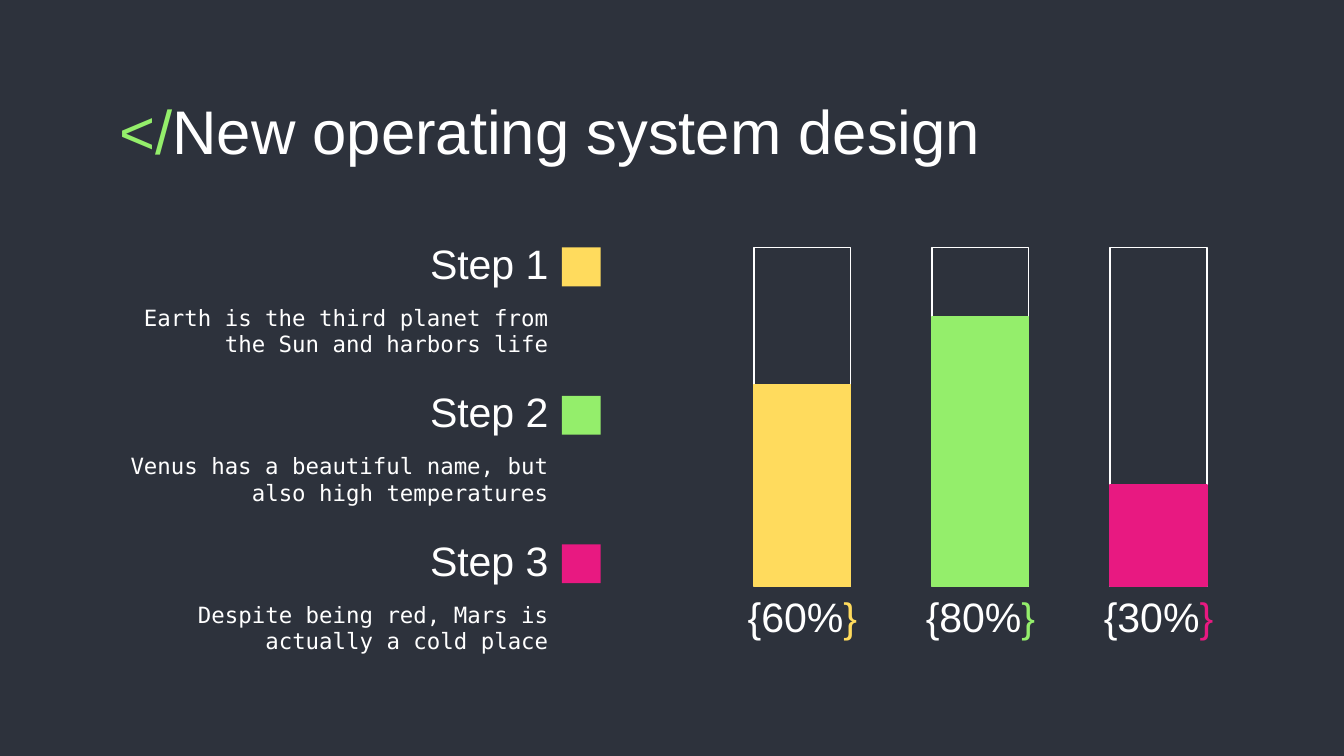
from pptx import Presentation
from pptx import util as u
from pptx.dml.color import RGBColor
from pptx.enum import shapes, text

BACKGROUND = RGBColor(0x2D, 0x32, 0x3C)
WHITE = RGBColor(0xFF, 0xFF, 0xFF)
YELLOW = RGBColor(0xFF, 0xDB, 0x5D)
GREEN = RGBColor(0x94, 0xEE, 0x6B)
PINK = RGBColor(0xE8, 0x19, 0x81)

STEPS = [
    ("Step 1", "Earth is the third planet from the Sun and harbors life", YELLOW, 60),
    ("Step 2", "Venus has a beautiful name, but also high temperatures", GREEN, 80),
    ("Step 3", "Despite being red, Mars is actually a cold place", PINK, 30),
]
STEP_PITCH = 2.21 / 2
BAR_PITCH = 2.65 / 2
FULL_BAR = 2.5


def add_text(page, box, *spans, size=22, font="Arial", align=text.PP_ALIGN.LEFT,
             anchor=text.MSO_ANCHOR.TOP):
    frame = page.shapes.add_textbox(*map(u.Inches, box)).text_frame
    frame.word_wrap = True
    frame.vertical_anchor = anchor
    frame.margin_left = frame.margin_right = u.Inches(0.1)
    frame.margin_top = frame.margin_bottom = u.Inches(0.1)
    para = frame.paragraphs[0]
    para.alignment = align
    for words, color in spans:
        span = para.add_run()
        span.text = words
        span.font.size = u.Pt(size)
        span.font.name = font
        span.font.color.rgb = color


def add_rectangle(page, box, fill=None, line=None):
    rectangle = page.shapes.add_shape(shapes.MSO_SHAPE.RECTANGLE, *map(u.Inches, box))
    rectangle.shadow.inherit = False
    if fill is None:
        rectangle.fill.background()
    else:
        rectangle.fill.solid()
        rectangle.fill.fore_color.rgb = fill
    if line is None:
        rectangle.line.fill.background()
    else:
        rectangle.line.color.rgb = line
        rectangle.line.width = u.Pt(0.75)


def add_title(page, box):
    add_text(page, box, ("</", GREEN), ("New operating system design", WHITE), size=33)


def add_step(page, box, heading, description, color):
    left, top, width, height = box
    right = text.PP_ALIGN.RIGHT
    add_text(page, (left, top, width, 0.5), (heading, WHITE),
             align=right, anchor=text.MSO_ANCHOR.BOTTOM)
    add_text(page, (left, top + height - 0.5, width, 0.5), (description, WHITE),
             size=12, font="DejaVu Sans Mono", align=right)
    add_rectangle(page, (left + width, top + 0.1, 0.29, 0.29), fill=color)


def add_bar(page, box, percent, color):
    left, top, width, height = box
    filled = FULL_BAR * percent / 100
    add_rectangle(page, box, line=WHITE)
    add_rectangle(page, (left, top + height - filled, width, filled), fill=color, line=color)
    label_width = 1.21
    label_left = left + (width - label_width) / 2
    add_text(page, (label_left, top + height + 0.01, label_width, 0.5),
             (f"{{{percent}%", WHITE), ("}", color),
             align=text.PP_ALIGN.CENTER, anchor=text.MSO_ANCHOR.BOTTOM)


def main():
    deck = Presentation()
    deck.slide_width = u.Inches(10)
    deck.slide_height = u.Inches(10 * 9 / 16)
    page = deck.slides.add_slide(deck.slide_layouts[6])
    page.background.fill.solid()
    page.background.fill.fore_color.rgb = BACKGROUND

    add_title(page, (0.79, 0.59, 8.43, 0.63))
    for index, (heading, description, color, percent) in enumerate(STEPS):
        add_step(page, (0.78, 1.74 + index * STEP_PITCH, 3.4, 0.92),
                 heading, description, color)
        add_bar(page, (5.61 + index * BAR_PITCH, 1.84, 0.72, 2.52), percent, color)
    deck.save("out.pptx")


if __name__ == "__main__":
    main()
